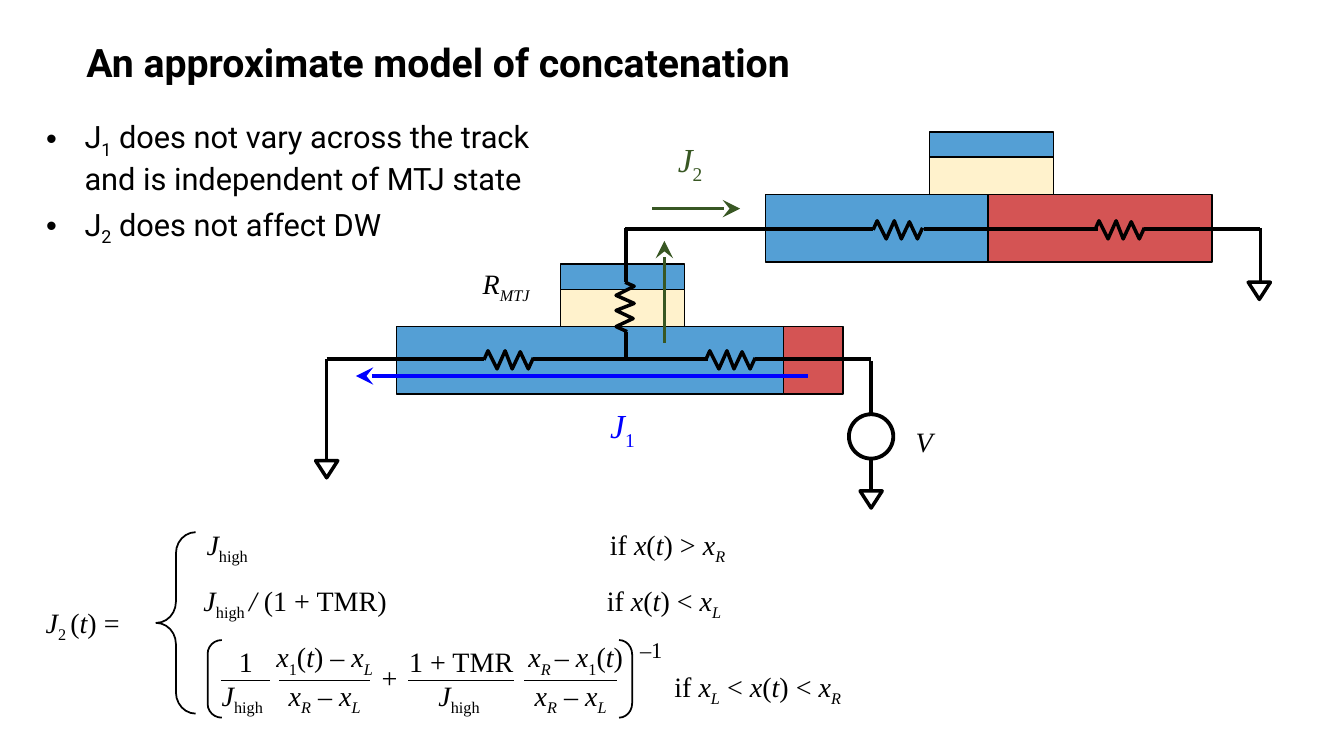
"""Build a slide on an approximate model of concatenated domain-wall devices."""
from lxml import etree
from pptx import Presentation
from pptx.dml.color import RGBColor
from pptx.enum import shapes, text
from pptx.oxml import ns
from pptx.util import Inches, Pt

COLORS = {
    "black": "000000", "white": "FFFFFF", "blue": "549FD5", "red": "D45454",
    "cream": "FFF2CC", "track": "0000FF", "output": "385723",
}
SERIF, SANS = "Times New Roman", "Roboto"
LEFT, CENTER = text.PP_ALIGN.LEFT, text.PP_ALIGN.CENTER
KINDS = shapes.MSO_SHAPE


def write(frame, lines, size=20, color="black", font=SERIF, align=LEFT, bold=False):
    """Fill a text frame; asterisks enclose italics and underscores subscripts."""
    frame.word_wrap = True
    for number, line in enumerate(lines):
        paragraph = frame.paragraphs[0] if number == 0 else frame.add_paragraph()
        paragraph.alignment = align
        for part_number, part in enumerate(line.split("*")):
            for piece_number, piece in enumerate(part.split("_")):
                if not piece:
                    continue
                run = paragraph.add_run()
                run.text = piece
                formats = {"name": font, "size": Pt(size), "bold": bold,
                           "italic": part_number % 2 == 1}
                for name, value in formats.items():
                    setattr(run.font, name, value)
                run.font.color.rgb = RGBColor.from_string(COLORS[color])
                if piece_number % 2:
                    run._r.get_or_add_rPr().set("baseline", "-25000")


def outline(shape, width, fill=None, color="black"):
    """Set the line and fill of a shape and remove its shadow."""
    shape.line.width = Pt(width)
    shape.line.color.rgb = RGBColor.from_string(COLORS[color])
    if shape.shape_type == shapes.MSO_SHAPE_TYPE.LINE:
        etree.SubElement(shape._element.spPr, ns.qn("a:effectLst"))
        return
    shape.shadow.inherit = False
    if fill:
        shape.fill.solid()
        shape.fill.fore_color.rgb = RGBColor.from_string(COLORS[fill])
    else:
        shape.fill.background()


presentation = Presentation()
presentation.slide_width, presentation.slide_height = Inches(13.33), Inches(7.5)
slide = presentation.slides.add_slide(presentation.slide_layouts[5])

title = slide.shapes.title
title_place = {"left": 0.16, "top": 0.33, "width": 8.37, "height": 0.57}
for name, value in title_place.items():
    setattr(title, name, Inches(value))
title.text_frame.auto_size = text.MSO_AUTO_SIZE.NONE
write(title.text_frame, ["An approximate model of concatenation"],
      28, font=SANS, align=CENTER, bold=True)

bullets = slide.shapes.add_textbox(Inches(0.36), Inches(1.12), Inches(5.38), Inches(1.3))
write(bullets.text_frame, [
    "J_1_ does not vary across the track and is independent of MTJ state",
    "J_2_ does not affect DW",
], 22, font=SANS)
for paragraph in bullets.text_frame.paragraphs:
    paragraph.space_after = Pt(6)
    properties = paragraph._p.get_or_add_pPr()
    properties.set("marL", str(Inches(0.38)))
    properties.set("indent", str(-Inches(0.38)))
    etree.SubElement(properties, ns.qn("a:buFont")).set("typeface", "Arial")
    etree.SubElement(properties, ns.qn("a:buChar")).set("char", "•")

for left, top, wall in [(3.93, 2.62, 3.84), (7.59, 1.31, 2.21)]:
    layers = [
        (left + 1.63, top, 1.23, 0.25, "blue"),
        (left + 1.63, top + 0.25, 1.23, 0.37, "cream"),
        (left + wall, top + 0.62, 4.43 - wall, 0.67, "red"),
        (left, top + 0.62, wall, 0.67, "blue"),
    ]
    for *place, fill in layers:
        layer = slide.shapes.add_shape(KINDS.RECTANGLE, *map(Inches, place))
        outline(layer, 1, fill)

wires = [
    (6.21, 2.26, 6.21, 2.8), (6.21, 3.29, 6.21, 3.58), (8.64, 3.58, 8.64, 4.88),
    (12.5, 2.26, 12.5, 2.8), (3.24, 3.56, 3.24, 4.55),
    (3.24, 3.56, 4.8, 3.56), (5.29, 3.56, 7.02, 3.56), (7.49, 3.56, 8.64, 3.56),
    (6.2, 2.27, 8.66, 2.27), (9.16, 2.27, 10.89, 2.27), (11.35, 2.27, 12.5, 2.27),
]
fraction_bars = [(start, 6.75, end, 6.75) for start, end in
                 [(2.19, 2.68), (2.77, 3.67), (4.05, 5.1), (5.2, 6.12)]]
currents = [
    ((8.01, 3.73, 3.53, 3.73), "track"),
    ((6.59, 3.4, 6.59, 2.39), "output"),
    ((6.47, 2.07, 7.34, 2.07), "output"),
]
lines = [(ends, 2.5, "black", False) for ends in wires]
lines += [(ends, 1, "black", False) for ends in fraction_bars]
lines += [(ends, 2.5, color, True) for ends, color in currents]
for ends, width, color, arrow in lines:
    connector = slide.shapes.add_connector(shapes.MSO_CONNECTOR.STRAIGHT, *map(Inches, ends))
    outline(connector, width, color=color)
    if arrow:
        etree.SubElement(connector.line._get_or_add_ln(), ns.qn("a:tailEnd"),
                         type="stealth", w="lg", len="lg")

zigzag = [(0, 0.01), (0.04, -0.08), (0.13, 0.1), (0.21, -0.08),
          (0.28, 0.1), (0.36, -0.07), (0.44, 0.1), (0.49, -0.01)]
resistors = [(4.8, 3.56, False), (7, 3.56, False), (8.66, 2.27, False),
             (10.86, 2.27, False), (6.21, 2.8, True)]
for left, top, upright in resistors:
    points = [(left - across, top + along) if upright else (left + along, top + across)
              for along, across in zigzag]
    points = [(Inches(x), Inches(y)) for x, y in points]
    builder = slide.shapes.build_freeform(*points[0])
    builder.add_line_segments(points[1:], close=False)
    outline(builder.convert_to_shape(), 2.5)

for left, top in [(12.38, 2.8), (8.53, 4.87), (3.13, 4.57)]:
    ground = slide.shapes.add_shape(KINDS.ISOSCELES_TRIANGLE, Inches(left), Inches(top),
                                    Inches(0.22), Inches(0.17))
    ground.rotation = 180
    outline(ground, 2.5, "white")

source = slide.shapes.add_shape(KINDS.OVAL, Inches(8.42), Inches(4.11),
                                Inches(0.44), Inches(0.44))
outline(source, 2.75, "white")

enclosures = [
    (KINDS.LEFT_BRACE, (1.55, 5.28, 0.39, 1.8), 0.54),
    (KINDS.LEFT_BRACKET, (2.06, 6.35, 0.14, 0.77), 0.97),
    (KINDS.RIGHT_BRACKET, (6.14, 6.35, 0.13, 0.77), 1.1),
]
for kind, place, curve in enclosures:
    enclosure = slide.shapes.add_shape(kind, *map(Inches, place))
    enclosure.adjustments[0] = curve
    outline(enclosure, 1.25)

labels = [
    (8.97, 4.16, 0.39, "*V*", CENTER, 20, "black"),
    (4.61, 2.59, 0.82, "*R_MTJ_*", CENTER, 20, "black"),
    (5.76, 3.97, 0.83, "*J*_1_", CENTER, 24, "track"),
    (6.43, 1.33, 0.83, "*J*_2_", CENTER, 24, "output"),
    (0.12, 5.96, 1.47, "*J*_2 _(*t*) = ", CENTER, 20, "black"),
    (1.95, 5.18, 5.98, "*J*_high_\tif *x*(*t*) > *x_R_*", LEFT, 20, "black"),
    (1.92, 5.74, 6.03, "*J*_high _*/ *(1 + TMR)\tif *x*(*t*) < *x_L_*", LEFT, 20, "black"),
    (6.59, 6.59, 2.16, "if *x_L_* < *x*(*t*) < *x_R_*", LEFT, 20, "black"),
    (2.27, 6.34, 0.39, "1", LEFT, 20, "black"),
    (2.1, 6.68, 0.67, "*J*_high_", LEFT, 20, "black"),
    (2.61, 6.3, 1.22, "*x*_1_(*t*)* – x_L_*", CENTER, 20, "black"),
    (2.71, 6.68, 1.02, "*x_R_ – x_L_*", CENTER, 20, "black"),
    (3.67, 6.5, 0.37, "*+*", LEFT, 20, "black"),
    (3.96, 6.34, 1.3, "1 + TMR", LEFT, 20, "black"),
    (4.25, 6.68, 0.67, "*J*_high_", LEFT, 20, "black"),
    (5.1, 6.3, 1.22, "*x_R _– x*_1_(*t*)", CENTER, 20, "black"),
    (5.15, 6.68, 1.02, "*x_R_ – x_L_*", CENTER, 20, "black"),
    (6.25, 6.26, 0.49, "–1", LEFT, 16, "black"),
]
heights = {16: 0.37, 20: 0.44, 24: 0.5}
for left, top, width, label, align, size, color in labels:
    box = slide.shapes.add_textbox(Inches(left), Inches(top), Inches(width),
                                   Inches(heights[size]))
    write(box.text_frame, [label], size, color, align=align)
    if "\t" in label:
        properties = box.text_frame.paragraphs[0]._p.get_or_add_pPr()
        stops = etree.SubElement(properties, ns.qn("a:tabLst"))
        etree.SubElement(stops, ns.qn("a:tab"), pos=str(Inches(4)), algn="l")

presentation.save("out.pptx")
